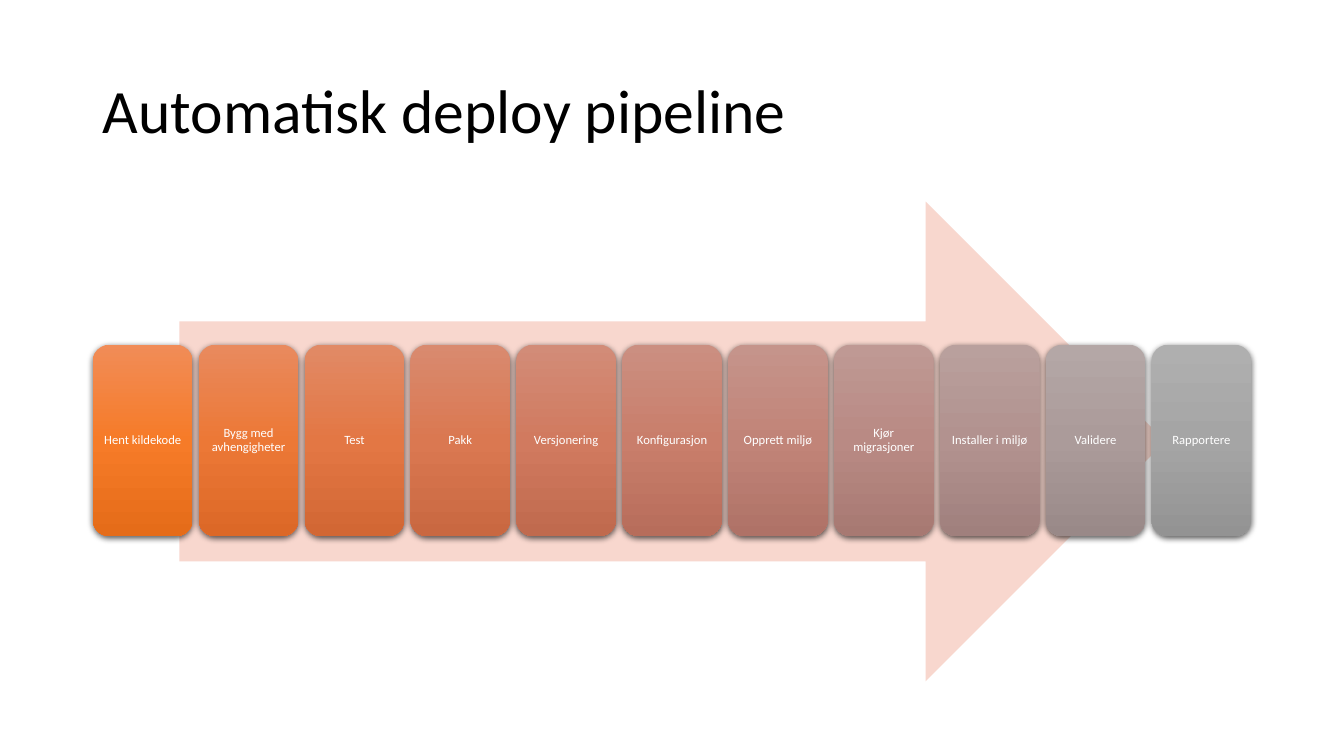
"""Build a slide showing an automated deploy pipeline as steps along an arrow."""
from copy import deepcopy
from dataclasses import dataclass

from lxml import etree
from pptx import Presentation
from pptx import util as u
from pptx.dml.color import RGBColor
from pptx.enum import shapes, text
from pptx.oxml.ns import qn


@dataclass(frozen=True)
class Theme:
    """Colours, font and type sizes of the slide."""
    font: str = "Calibri"
    title_size: int = 44
    step_size: int = 9
    title_color: str = "000000"
    step_color: str = "FFFFFF"
    arrow_color: str = "F8D7CE"
    shadow_color: str = "000000"


STEPS = [
    ("Hent kildekode", ("F18C57", "F67B28", "E56C19")),
    ("Bygg med avhengigheter", ("E98A5E", "EC7836", "DC6827")),
    ("Test", ("E18A66", "E37744", "D26734")),
    ("Pakk", ("D98A6F", "DA7851", "C96841")),
    ("Versjonering", ("D28C78", "D17A5F", "C06A4E")),
    ("Konfigurasjon", ("CB8F81", "C97E6B", "B76D5B")),
    ("Opprett miljø", ("C5948B", "C18478", "AF7267")),
    ("Kjør migrasjoner", ("BF9994", "B98A84", "A77972")),
    ("Installer i miljø", ("B9A09D", "B2928F", "A0807D")),
    ("Validere", ("B4A7A6", "AB9B9A", "998988")),
    ("Rapportere", ("AFAFAF", "A5A5A5", "939393")),
]
STEP_LEFT, STEP_PITCH = 0.92, 1.05


class PipelinePage:
    """Draws the pipeline elements on one page in one theme."""

    def __init__(self, page, theme):
        self.page = page
        self.theme = theme

    def label(self, frame, words, size, color):
        """Fill a text frame with one vertically centred paragraph."""
        frame.word_wrap = True
        frame.vertical_anchor = text.MSO_ANCHOR.MIDDLE
        para = frame.paragraphs[0]
        para.text = words
        para.line_spacing = 0.9
        para.font.name = self.theme.font
        para.font.size = u.Pt(size)
        para.font.color.rgb = RGBColor.from_string(color)
        return para

    def title(self, words, *place):
        """Add the slide title."""
        box = self.page.shapes.add_textbox(*map(u.Inches, place))
        self.label(box.text_frame, words, self.theme.title_size, self.theme.title_color)

    def shape(self, kind, *place):
        """Add a preset shape without outline or shadow."""
        shape = self.page.shapes.add_shape(kind, *map(u.Inches, place))
        shape.shadow.inherit = False
        shape.line.fill.background()
        return shape

    def arrow(self, *place):
        """Add the broad arrow behind the steps."""
        arrow = self.shape(shapes.MSO_SHAPE.RIGHT_ARROW, *place)
        arrow.fill.solid()
        arrow.fill.fore_color.rgb = RGBColor.from_string(self.theme.arrow_color)

    def gradient(self, shape, colors):
        """Fill a shape from top to bottom with three evenly spaced colours."""
        shape.fill.gradient()
        shape.fill.gradient_angle = 270
        stops = shape._element.spPr.find(".//" + qn("a:gsLst"))
        stops.append(deepcopy(stops[0]))
        for index, (stop, color) in enumerate(zip(shape.fill.gradient_stops, colors)):
            stop.position = index / 2
            stop.color.rgb = RGBColor.from_string(color)

    def drop_shadow(self, shape):
        """Give a shape a soft shadow below it."""
        effects = shape._element.spPr.find(qn("a:effectLst"))
        shadow = etree.SubElement(
            effects, qn("a:outerShdw"), blurRad=str(u.Pt(4.5)),
            dist=str(u.Pt(1.5)), dir="5400000", algn="ctr", rotWithShape="0")
        color = etree.SubElement(shadow, qn("a:srgbClr"), val=self.theme.shadow_color)
        etree.SubElement(color, qn("a:alpha"), val="63000")

    def step(self, words, colors, *place):
        """Add one rounded, labelled pipeline step."""
        card = self.shape(shapes.MSO_SHAPE.ROUNDED_RECTANGLE, *place)
        self.gradient(card, colors)
        self.drop_shadow(card)
        frame = card.text_frame
        frame.margin_left = frame.margin_right = u.Inches(0.04)
        frame.margin_top = frame.margin_bottom = u.Inches(0.04)
        para = self.label(frame, words, self.theme.step_size, self.theme.step_color)
        para.alignment = text.PP_ALIGN.CENTER


def main():
    """Build and save the deck."""
    deck = Presentation()
    deck.slide_width, deck.slide_height = u.Inches(13.33), u.Inches(7.5)
    page = PipelinePage(deck.slides.add_slide(deck.slide_layouts[6]), Theme())
    page.title("Automatisk deploy pipeline", 0.92, 0.4, 11.5, 1.45)
    page.arrow(1.78, 2, 9.78, 4.76)
    for index, (words, colors) in enumerate(STEPS):
        page.step(words, colors, STEP_LEFT + index * STEP_PITCH, 3.42, 0.99, 1.9)
    deck.save("out.pptx")


if __name__ == "__main__":
    main()
